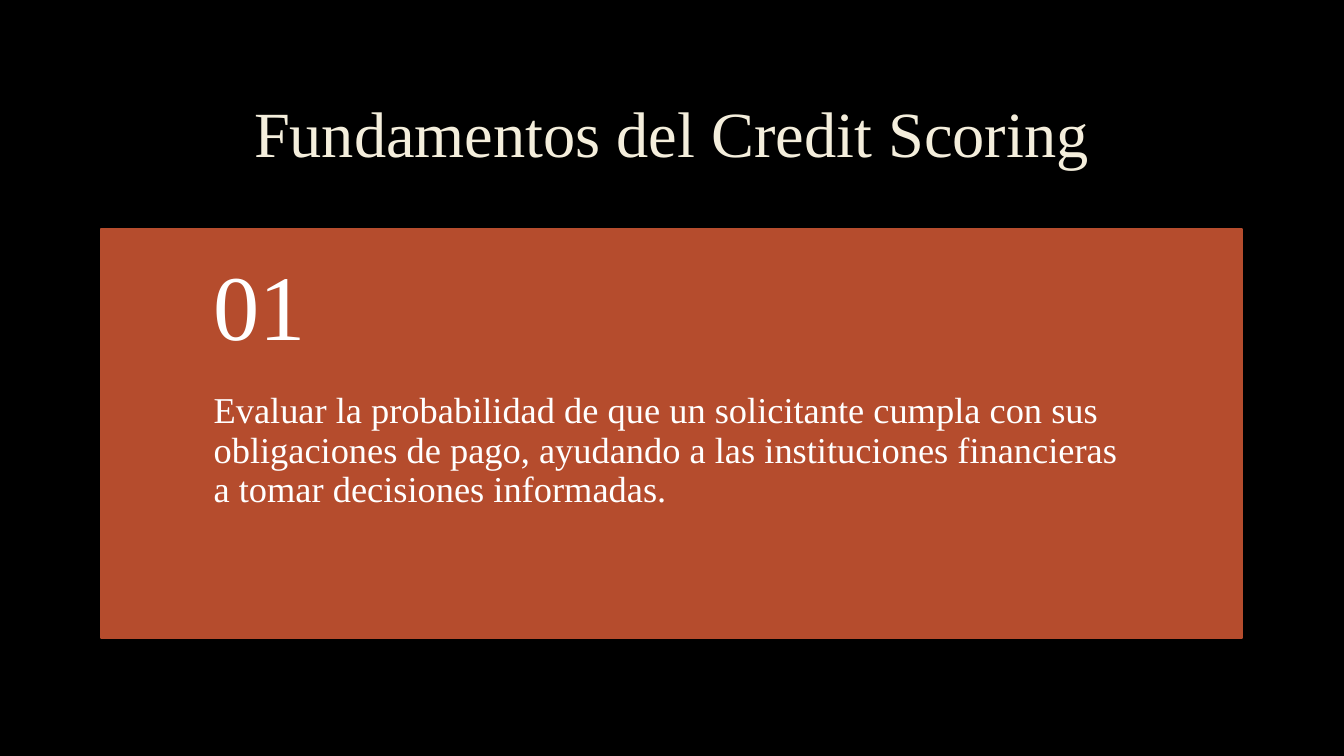
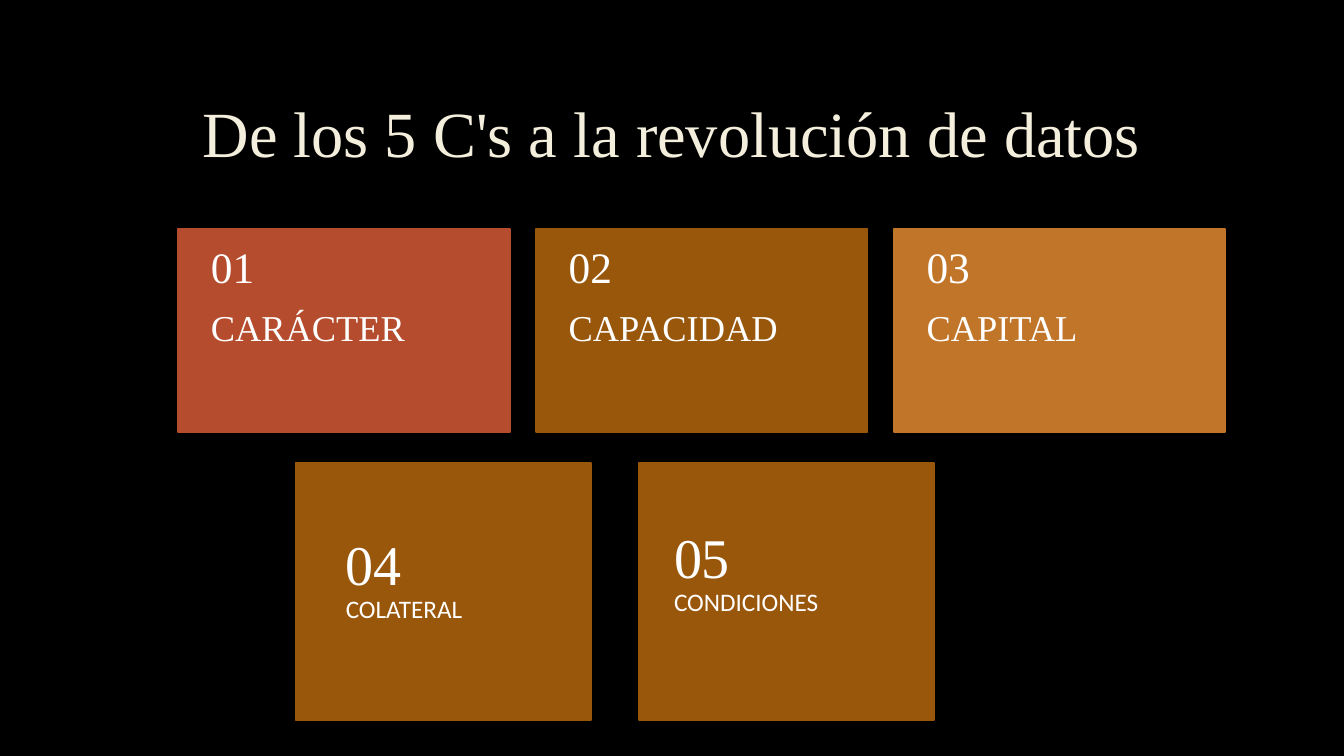
"""Build two slides on credit scoring: a single panel and the five C's."""
from pptx import Presentation
from pptx.dml.color import RGBColor
from pptx.enum.shapes import MSO_SHAPE
from pptx.enum.text import MSO_ANCHOR, PP_ALIGN
from pptx.util import Pt

COLORS = {
    "night": "000000", "cream": "F4EEDC", "white": "FFFFFF",
    "brick": "B54C2D", "brown": "99570C", "amber": "C17529",
}
SERIF, SANS = "Times New Roman", "Calibri"

FUNDAMENTALS = {
    "title": "Fundamentos del Credit Scoring",
    "cards": [("01", "Evaluar la probabilidad de que un solicitante cumpla con sus "
               "obligaciones de pago, ayudando a las instituciones financieras "
               "a tomar decisiones informadas.", "brick")],
    "grid": {"left": 72, "width": 815, "height": 292.3, "gap": 0},
    "number_size": 66, "inset": 80.6,
}
FIVE_CS = {
    "title": "De los 5 C's a la revolución de datos",
    "cards": [("01", "CARÁCTER", "brick"), ("02", "CAPACIDAD", "brown"),
              ("03", "CAPITAL", "amber")],
    "grid": {"left": 127.2, "width": 236.9, "height": 145, "gap": 18.7},
    "number_size": 31, "inset": 23.4,
}
LOWER_CARDS = [("04", "COLATERAL", (10.8, 48)), ("05", "CONDICIONES", (0, 43))]
LOWER_GRID = {"left": 211, "width": 211, "height": 183.6, "gap": 34.3}

TITLE_BOX = (72, 48, 815, 99.4)
CARDS_TOP, LOWER_TOP = 163.4, 330.5
NUMBER_SHARE = 0.4
LOWER_TEXT_HEIGHT, LOWER_INSET = 90, 25.2


def color(name):
    return RGBColor.from_string(COLORS[name])


def apply(target, values):
    for name, value in values.items():
        setattr(target, name, value)


def add_text(slide, box, lines, margins, anchor=MSO_ANCHOR.TOP, align=PP_ALIGN.LEFT):
    frame = slide.shapes.add_textbox(*map(Pt, box)).text_frame
    sides = ("margin_left", "margin_top", "margin_right", "margin_bottom")
    apply(frame, {"word_wrap": True, "vertical_anchor": anchor,
                  **dict(zip(sides, map(Pt, margins)))})
    for index, (words, size, font, tint, spacing) in enumerate(lines):
        paragraph = frame.add_paragraph() if index else frame.paragraphs[0]
        apply(paragraph, {"alignment": align, "line_spacing": spacing})
        run = paragraph.add_run()
        run.text = words
        apply(run.font, {"size": Pt(size), "name": font})
        run.font.color.rgb = color(tint)


def add_card(slide, box, tint):
    card = slide.shapes.add_shape(MSO_SHAPE.RECTANGLE, *map(Pt, box))
    card.shadow.inherit = False
    card.fill.solid()
    card.fill.fore_color.rgb = color(tint)
    card.line.color.rgb = color(tint)
    card.line.width = Pt(1.25)


def row_boxes(count, top, left, width, height, gap):
    return [(left + i * (width + gap), top, width, height) for i in range(count)]


def add_titled_slide(deck, title):
    slide = deck.slides.add_slide(deck.slide_layouts[6])
    slide.background.fill.solid()
    slide.background.fill.fore_color.rgb = color("night")
    add_text(slide, TITLE_BOX, [(title, 46, SERIF, "cream", 0.9)],
             (7.2, 3.6, 7.2, 3.6), MSO_ANCHOR.MIDDLE, PP_ALIGN.CENTER)
    return slide


def add_numbered_slide(deck, content):
    slide = add_titled_slide(deck, content["title"])
    cards, inset = content["cards"], content["inset"]
    boxes = row_boxes(len(cards), CARDS_TOP, **content["grid"])
    for (number, words, tint), box in zip(cards, boxes):
        left, top, width, height = box
        head = height * NUMBER_SHARE
        add_card(slide, box, tint)
        add_text(slide, (left, top + head, width, height - head),
                 [(words, 26, SERIF, "white", 0.9)], (inset, 0, inset, 26))
        add_text(slide, (left, top, width, head),
                 [(number, content["number_size"], SERIF, "white", 0.9)],
                 (inset, 13, inset, 13), MSO_ANCHOR.MIDDLE)
    return slide


def add_lower_cards(slide):
    boxes = row_boxes(len(LOWER_CARDS), LOWER_TOP, **LOWER_GRID)
    for (number, words, (shift, drop)), box in zip(LOWER_CARDS, boxes):
        left, top, width, _ = box
        add_card(slide, box, "brown")
        add_text(slide, (left + shift, top + drop, width, LOWER_TEXT_HEIGHT),
                 [(number, 40, SERIF, "white", 1.0), (words, 18, SANS, "white", 0.9)],
                 (LOWER_INSET, 0, LOWER_INSET, 0))


def main():
    deck = Presentation()
    apply(deck, {"slide_width": Pt(960), "slide_height": Pt(540)})
    add_numbered_slide(deck, FUNDAMENTALS)
    add_lower_cards(add_numbered_slide(deck, FIVE_CS))
    deck.save("out.pptx")


if __name__ == "__main__":
    main()
